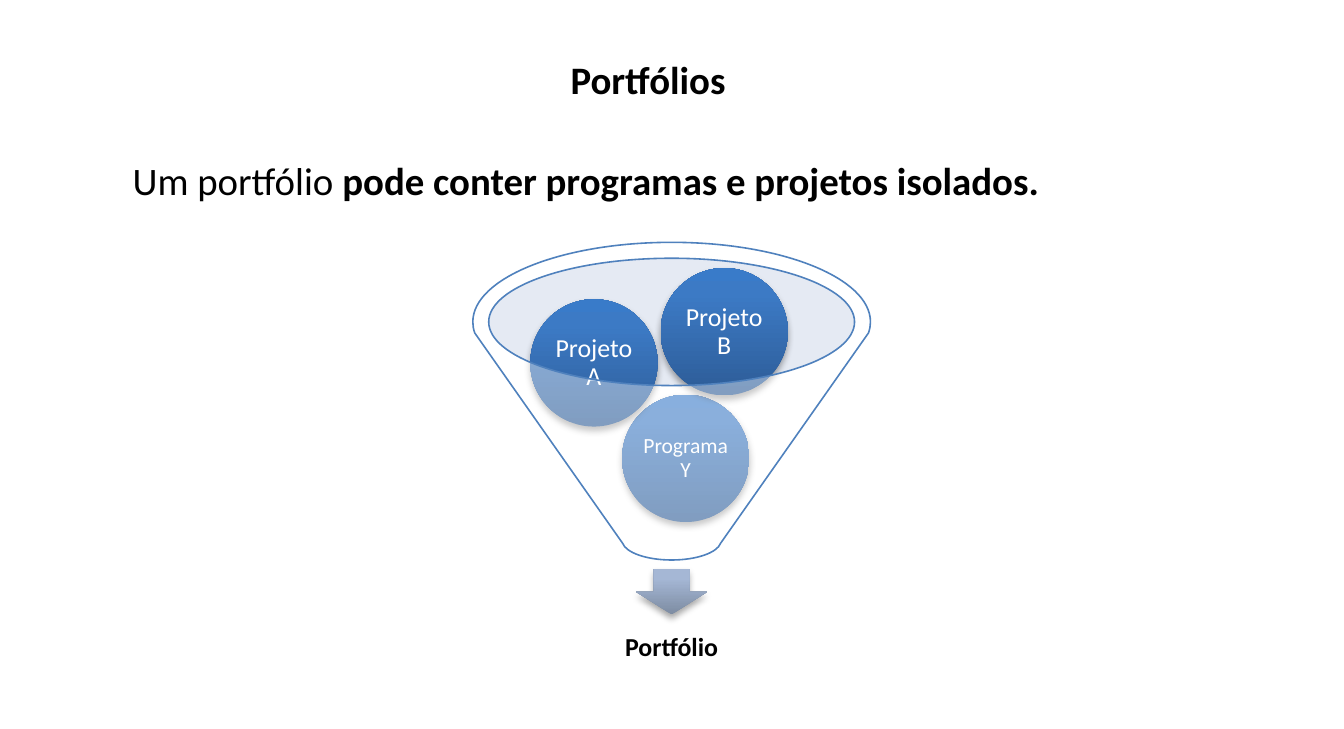
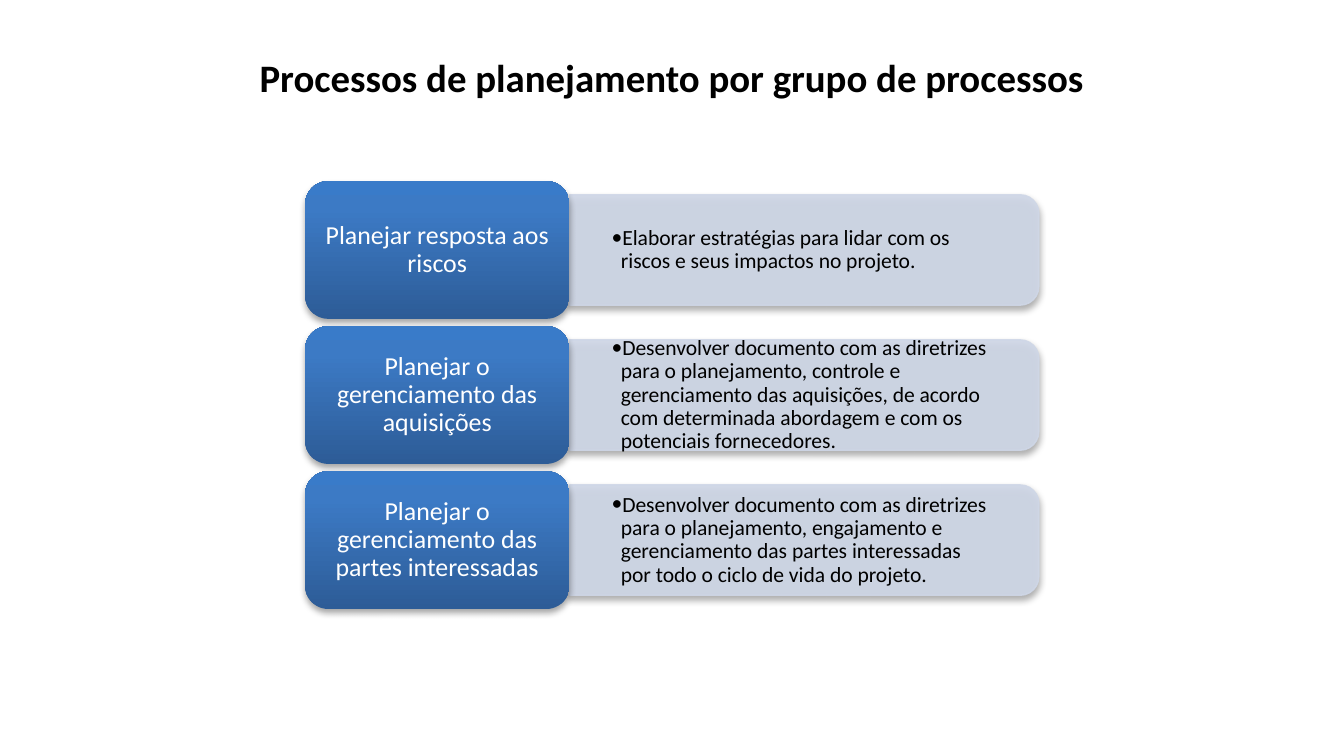
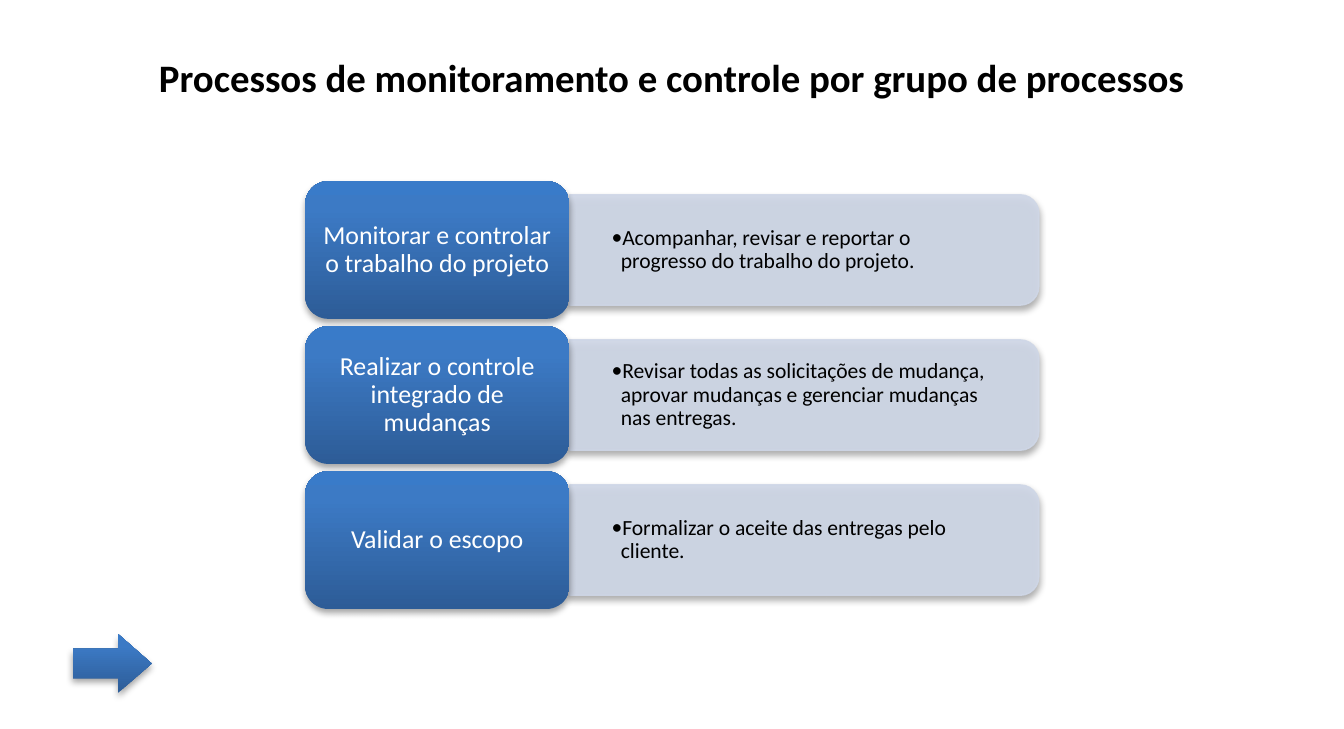
"""Build three slides on portfolios and project management processes."""
from copy import deepcopy
from itertools import pairwise
from math import cos, radians, sin, tan

from lxml import etree
from pptx import Presentation
from pptx.dml.color import RGBColor
from pptx.enum import shapes, text
from pptx.oxml.ns import qn
from pptx.util import Cm, Pt

FONT = "Calibri"
COLORS = {
    "black": "000000", "white": "FFFFFF", "outline": "4F81BD",
    "mouth": "C0CCE1", "bar": "CFD7E7",
}
BLUE = [(0, "2D5C97"), (80, "3C7AC5"), (100, "397BC9")]
PALE_BLUE = [(0, "7D8CA2"), (80, "A5B7D5"), (100, "A5B8D7")]
SLIDE_W, SLIDE_H = 21.97, 11.91
KIND = shapes.MSO_SHAPE
ALIGN = text.PP_ALIGN
MIDDLE = text.MSO_ANCHOR.MIDDLE

PORTFOLIO = {
    "title": "Portfólios",
    "statement": [("Um portfólio ", False),
                  ("pode conter programas e projetos isolados.", True)],
    "balls": [("Programa Y", 10.17, 6.45, 10), ("Projeto A", 8.67, 4.89, 12),
              ("Projeto B", 10.8, 4.38, 12)],
    "result": "Portfólio",
}
PLANNING = {
    "title": "Processos de planejamento por grupo de processos",
    "rows": [
        ("Planejar resposta aos riscos",
         "Elaborar estratégias para lidar com os riscos e seus impactos no projeto."),
        ("Planejar o gerenciamento das aquisições",
         "Desenvolver documento com as diretrizes para o planejamento, controle e "
         "gerenciamento das aquisições, de acordo com determinada abordagem e com os "
         "potenciais fornecedores."),
        ("Planejar o gerenciamento das partes interessadas",
         "Desenvolver documento com as diretrizes para o planejamento, engajamento e "
         "gerenciamento das partes interessadas por todo o ciclo de vida do projeto."),
    ],
}
MONITORING = {
    "title": "Processos de monitoramento e controle por grupo de processos",
    "rows": [
        ("Monitorar e controlar o trabalho do projeto",
         "Acompanhar, revisar e reportar o progresso do trabalho do projeto."),
        ("Realizar o controle integrado de mudanças",
         "Revisar todas as solicitações de mudança, aprovar mudanças e gerenciar "
         "mudanças nas entregas."),
        ("Validar o escopo",
         "Formalizar o aceite das entregas pelo cliente."),
    ],
}


def rgb(name):
    return RGBColor.from_string(COLORS[name])


def add_bullet(paragraph, size):
    props = paragraph._p.get_or_add_pPr()
    props.set("marL", str(Cm(0.15)))
    props.set("indent", str(-Cm(0.15)))
    color = etree.SubElement(props, qn("a:buClr"))
    etree.SubElement(color, qn("a:srgbClr"), val=COLORS["black"])
    etree.SubElement(props, qn("a:buFont"), typeface=FONT)
    etree.SubElement(props, qn("a:buChar"), char="•")
    paragraph.level = 1
    paragraph.font.size = Pt(size)
    paragraph.font.name = FONT


def write(shape, runs, size, color="black", align=ALIGN.CENTER, anchor=None,
          insets=(0.25, 0.13), spacing=None, bullet=False):
    frame = shape.text_frame
    frame.word_wrap = True
    frame.margin_left = frame.margin_right = Cm(insets[0])
    frame.margin_top = frame.margin_bottom = Cm(insets[1])
    if anchor is not None:
        frame.vertical_anchor = anchor
    paragraph = frame.paragraphs[0]
    paragraph.alignment = align
    if spacing:
        paragraph.line_spacing = spacing
    if bullet:
        add_bullet(paragraph, size)
    for words, bold in runs:
        run = paragraph.add_run()
        run.text = words
        run.font.name = FONT
        run.font.size = Pt(size)
        run.font.bold = bold
        run.font.color.rgb = rgb(color)


def add_text(slide, box, runs, size, **style):
    write(slide.shapes.add_textbox(*map(Cm, box)), runs, size, **style)


def add_shape(slide, kind, box, adjustments=()):
    shape = slide.shapes.add_shape(kind, *map(Cm, box))
    for index, value in enumerate(adjustments):
        shape.adjustments[index] = value
    shape.shadow.inherit = False
    shape.line.fill.background()
    return shape


def fill_solid(shape, color, opacity):
    shape.fill.solid()
    shape.fill.fore_color.rgb = rgb(color)
    for value in shape._element.spPr.iter(qn("a:srgbClr")):
        if value.get("val") == COLORS[color]:
            etree.SubElement(value, qn("a:alpha"), val=str(opacity * 1000))


def fill_gradient(shape, stops):
    shape.fill.gradient()
    shape.fill.gradient_angle = 90
    stop_list = shape._element.spPr.find(".//" + qn("a:gsLst"))
    stop_list.append(deepcopy(stop_list[-1]))
    for stop, (position, color) in zip(shape.fill.gradient_stops, stops):
        stop.position = position / 100
        stop.color.rgb = RGBColor.from_string(color)


def drop_shadow(shape):
    effects = shape._element.spPr.find(qn("a:effectLst"))
    shadow = etree.SubElement(effects, qn("a:outerShdw"), blurRad="40000",
                              dist="23000", dir="5400000", rotWithShape="0")
    color = etree.SubElement(shadow, qn("a:srgbClr"), val=COLORS["black"])
    etree.SubElement(color, qn("a:alpha"), val="35000")


def add_raised(slide, kind, box, stops=BLUE, adjustments=()):
    shape = add_shape(slide, kind, box, adjustments)
    fill_gradient(shape, stops)
    drop_shadow(shape)
    return shape


def add_title(slide, title, left=0, top=0.75):
    add_text(slide, (left, top, SLIDE_W, 1.02), [(title, True)], 18)


def arc(center, radii, angles):
    """Return the start point, then two handles and an end point per curve."""
    def at(angle, pull=0):
        x, y = cos(radians(angle)), sin(radians(angle))
        return (Cm(center[0] + radii[0] * (x - pull * y)),
                Cm(center[1] + radii[1] * (y + pull * x)))

    points = [at(angles[0])]
    for start, end in pairwise(angles):
        pull = 4 / 3 * tan(radians(end - start) / 4)
        points += [at(start, pull), at(end, -pull), at(end)]
    return points


def bend(shape, straight):
    segments = list(shape._element.spPr.iter(qn("a:lnTo")))
    del segments[straight]
    for first in range(0, len(segments), 3):
        curve = etree.Element(qn("a:cubicBezTo"))
        segments[first].addprevious(curve)
        for segment in segments[first:first + 3]:
            curve.append(segment[0])
            segment.getparent().remove(segment)


def add_funnel(slide, middle, rim_y, spout_y, mouth_radii):
    rim = arc((middle, rim_y), (3.25, 1.3), (172, 180, 270, 360, 368))
    spout = arc((middle, spout_y), (0.81, 0.32), (8, 90, 172))
    mouth = arc((middle, rim_y), mouth_radii, (180, 90, 0, -90, -180))
    outline = slide.shapes.build_freeform(*rim[0])
    outline.add_line_segments(rim[1:] + spout, close=True)
    outline.move_to(*mouth[0])
    outline.add_line_segments(mouth[1:], close=True)
    funnel = outline.convert_to_shape()
    bend(funnel, straight=len(rim) - 1)
    funnel.shadow.inherit = False
    fill_solid(funnel, "white", 40)
    funnel.line.color.rgb = rgb("outline")
    funnel.line.width = Pt(0.75)


def build_portfolio(slide, content):
    middle, rim_y, spout_y, ball = 10.98, 5.26, 8.83, 2.08
    mouth_radii = (2.99, 1.04)
    add_text(slide, (1.99, 2.46, 18.01, 7.01), content["statement"], 18,
             align=ALIGN.JUSTIFY, insets=(0.18, 0.1))
    add_title(slide, content["title"], left=-0.39, top=0.78)
    mouth = add_shape(slide, KIND.OVAL,
                      (middle - mouth_radii[0], rim_y - mouth_radii[1],
                       2 * mouth_radii[0], 2 * mouth_radii[1]))
    fill_solid(mouth, "mouth", 40)
    add_raised(slide, KIND.DOWN_ARROW, (middle - 0.58, 9.3, 1.16, 0.74), PALE_BLUE)
    add_text(slide, (middle - 1.5, 10.21, 3, 0.76), [(content["result"], True)], 12,
             anchor=MIDDLE, insets=(0.23, 0.23), spacing=0.9)
    for label, left, top, size in content["balls"]:
        component = add_raised(slide, KIND.OVAL, (left, top, ball, ball))
        write(component, [(label, False)], size, "white", anchor=MIDDLE,
              insets=(0.02, 0.02), spacing=0.9)
    add_funnel(slide, middle, rim_y, spout_y, mouth_radii)


def build_processes(slide, content):
    left, top, pitch = 4.99, 2.96, 2.37
    card_w, card_h = 4.32, 2.25
    bar_w, bar_h = 7.67, 1.8
    bar_left = left + card_w
    add_title(slide, content["title"])
    for index, (process, purpose) in enumerate(content["rows"]):
        row_top = top + index * pitch
        center_y = row_top + card_h / 2
        bar = add_shape(slide, KIND.ROUND_2_SAME_RECTANGLE,
                        (bar_left + (bar_w - bar_h) / 2, center_y - bar_w / 2,
                         bar_h, bar_w), (0.167, 0))
        bar.rotation = 90
        bar.line.color.rgb = rgb("bar")
        bar.line.width = Pt(0.75)
        fill_solid(bar, "bar", 90)
        drop_shadow(bar)
        add_text(slide, (bar_left, center_y - 0.82, 7.59, 1.64), [(purpose, False)], 10,
                 align=ALIGN.LEFT, anchor=MIDDLE, insets=(0.69, 0.35),
                 spacing=0.9, bullet=True)
        card = add_raised(slide, KIND.ROUNDED_RECTANGLE,
                          (left, row_top, card_w, card_h), adjustments=(0.167,))
        write(card, [(process, False)], 12, "white", anchor=MIDDLE,
              insets=(0.13, 0.05), spacing=0.9)


def main():
    deck = Presentation()
    deck.slide_width, deck.slide_height = Cm(SLIDE_W), Cm(SLIDE_H)
    portfolio, planning, monitoring = (
        deck.slides.add_slide(deck.slide_layouts[6]) for _ in range(3))
    build_portfolio(portfolio, PORTFOLIO)
    build_processes(planning, PLANNING)
    build_processes(monitoring, MONITORING)
    add_raised(monitoring, KIND.RIGHT_ARROW, (1.19, 10.36, 1.29, 0.96),
               adjustments=(0.5, 0.571))
    deck.save("out.pptx")


if __name__ == "__main__":
    main()
